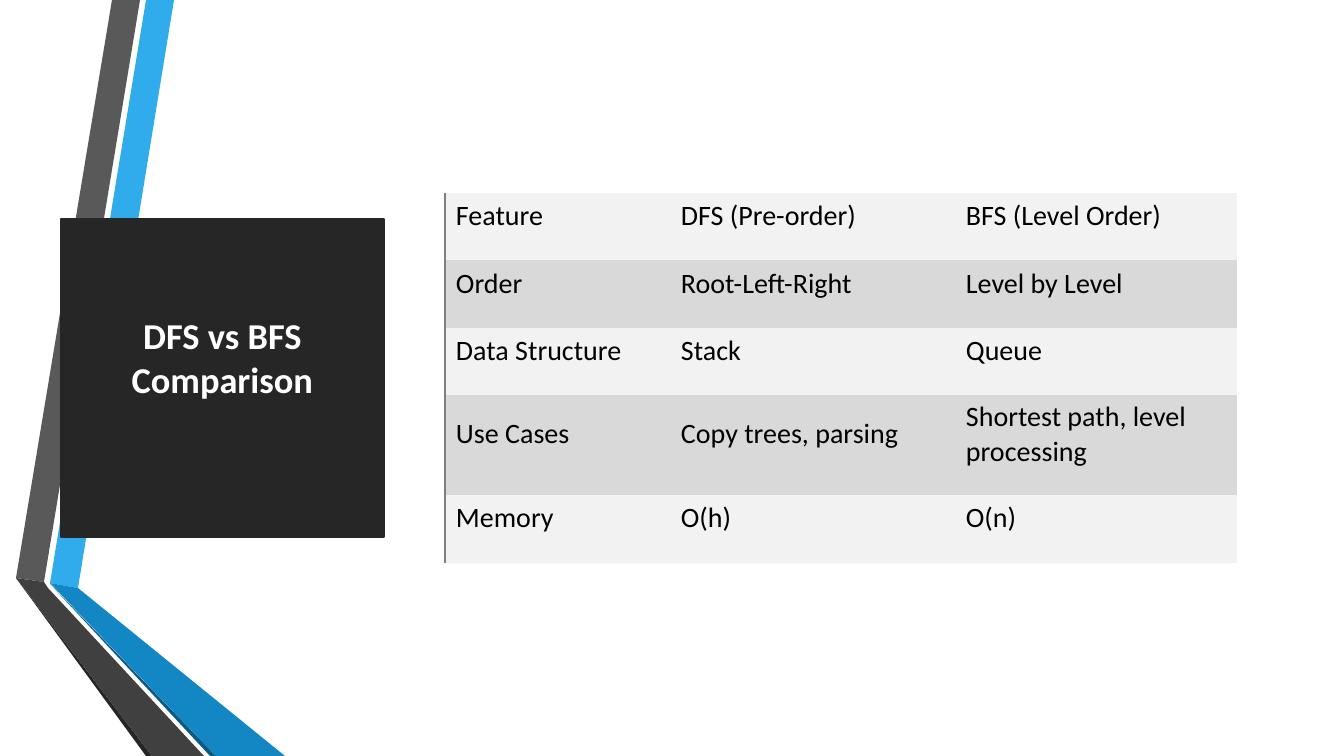
from pptx import Presentation
from pptx import util as u
from pptx.dml.color import RGBColor
from pptx.enum import text
from pptx.oxml import parse_xml
from pptx.oxml.ns import nsdecls

SKY = RGBColor(0x30, 0xAC, 0xEC)
BLUE = RGBColor(0x12, 0x87, 0xC3)
NAVY = RGBColor(0x0C, 0x5A, 0x82)
GRAY = RGBColor(0x59, 0x59, 0x59)
DARK = RGBColor(0x40, 0x40, 0x40)
COAL = RGBColor(0x26, 0x26, 0x26)
PALE = RGBColor(0xF2, 0xF2, 0xF2)
BAND = RGBColor(0xD9, 0xD9, 0xD9)
EDGE = RGBColor(0x7F, 0x7F, 0x7F)
WHITE = RGBColor(0xFF, 0xFF, 0xFF)
BLACK = RGBColor(0, 0, 0)

FONT = "Calibri"
PLAIN = "{2D5ABB26-0587-4C30-8999-92F81FD0307C}"
TITLE = "DFS vs BFS Comparison"
ROWS = [
    ("Feature", "DFS (Pre-order)", "BFS (Level Order)"),
    ("Order", "Root-Left-Right", "Level by Level"),
    ("Data Structure", "Stack", "Queue"),
    ("Use Cases", "Copy trees, parsing", "Shortest path, level processing"),
    ("Memory", "O(h)", "O(n)"),
]
WIDTHS = (225, 285, 282)
HEIGHTS = (67, 68, 67, 100, 68)
RIBBONS = [
    (SKY, [(50, 583), (78, 588), (174, 0), (146, 0)]),
    (GRAY, [(140, 0), (112, 0), (16, 578), (44, 582)]),
    (COAL, [(16, 578), (146, 756), (152, 756)]),
    (NAVY, [(50, 584), (210, 756), (216, 756)]),
    (BLUE, [(50, 583), (216, 756), (285, 756), (78, 588)]),
    (DARK, [(204, 756), (48, 588), (44, 582), (16, 578), (152, 756)]),
]
SCALE = 914400 / 100.8


def px(n):
    return u.Emu(round(n * SCALE))


def style(para, size, color, bold=False):
    for run in para.runs:
        font = run.font
        font.name, font.size, font.bold = FONT, u.Pt(size), bold
        font.color.rgb = color


def ribbon(slide, color, points):
    pen = slide.shapes.build_freeform(*points[0], scale=SCALE)
    pen.add_line_segments(points[1:], close=True)
    shape = pen.convert_to_shape()
    shape.shadow.inherit = False
    shape.fill.solid()
    shape.fill.fore_color.rgb = color
    shape.line.fill.background()


def heading(slide):
    box = slide.shapes.title
    tree = box.element.getparent()
    tree.append(box.element)
    box.left, box.top, box.width, box.height = map(px, (61, 219, 323, 318))
    box.element.spPr.append(parse_xml(
        f'<a:prstGeom {nsdecls("a")} prst="roundRect"><a:avLst>'
        '<a:gd name="adj" fmla="val 3000"/></a:avLst></a:prstGeom>'))
    box.fill.solid()
    box.fill.fore_color.rgb = COAL
    box.line.color.rgb = COAL
    box.line.width = u.Pt(1)
    frame = box.text_frame
    frame.text = TITLE
    frame.word_wrap = True
    frame.auto_size = text.MSO_AUTO_SIZE.NONE
    frame.vertical_anchor = text.MSO_ANCHOR.MIDDLE
    frame.margin_top, frame.margin_bottom = px(5), px(47)
    para = frame.paragraphs[0]
    para.alignment = text.PP_ALIGN.CENTER
    style(para, 26, WHITE, True)


def border(cell):
    props = cell._tc.get_or_add_tcPr()
    props.insert(0, parse_xml(
        f'<a:lnL {nsdecls("a")} w="12700"><a:solidFill>'
        f'<a:srgbClr val="{EDGE}"/></a:solidFill></a:lnL>'))


def grid(slide):
    area = map(px, (445, 193, sum(WIDTHS), sum(HEIGHTS)))
    frame = slide.shapes.add_table(len(ROWS), len(WIDTHS), *area)
    table = frame.table
    table.first_row = table.horz_banding = False
    table._tbl.tblPr.find("{*}tableStyleId").text = PLAIN
    for col, width in zip(table.columns, WIDTHS):
        col.width = px(width)
    for r, (row, height) in enumerate(zip(ROWS, HEIGHTS)):
        table.rows[r].height = px(height)
        for c, words in enumerate(row):
            cell = table.cell(r, c)
            cell.text = words
            cell.vertical_anchor = text.MSO_ANCHOR.MIDDLE
            cell.margin_left, cell.margin_top = px(11), px(3)
            cell.margin_right, cell.margin_bottom = px(16), px(24)
            cell.fill.solid()
            cell.fill.fore_color.rgb = BAND if r % 2 else PALE
            style(cell.text_frame.paragraphs[0], 20, BLACK)
        border(table.cell(r, 0))


def main():
    deck = Presentation()
    deck.slide_width, deck.slide_height = px(1344), px(756)
    slide = deck.slides.add_slide(deck.slide_layouts[5])
    for color, points in RIBBONS:
        ribbon(slide, color, points)
    heading(slide)
    grid(slide)
    deck.save("out.pptx")


if __name__ == "__main__":
    main()
